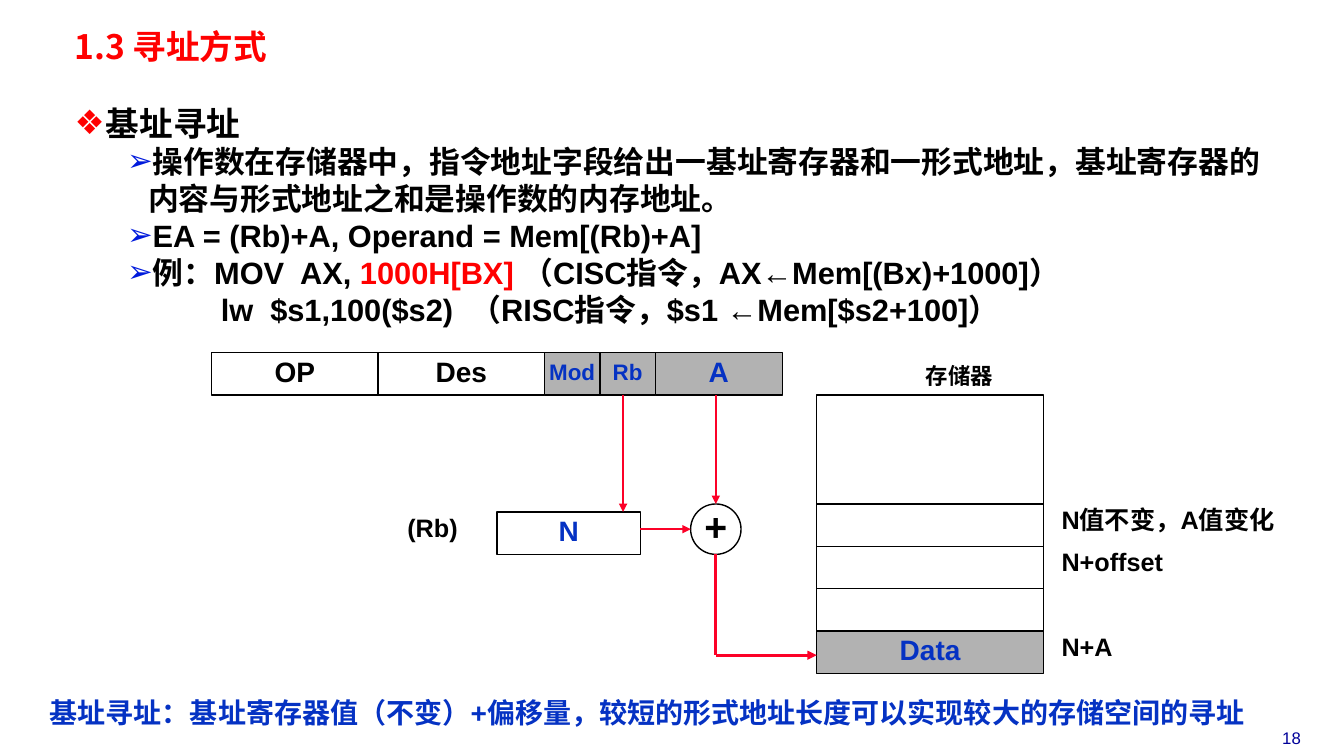
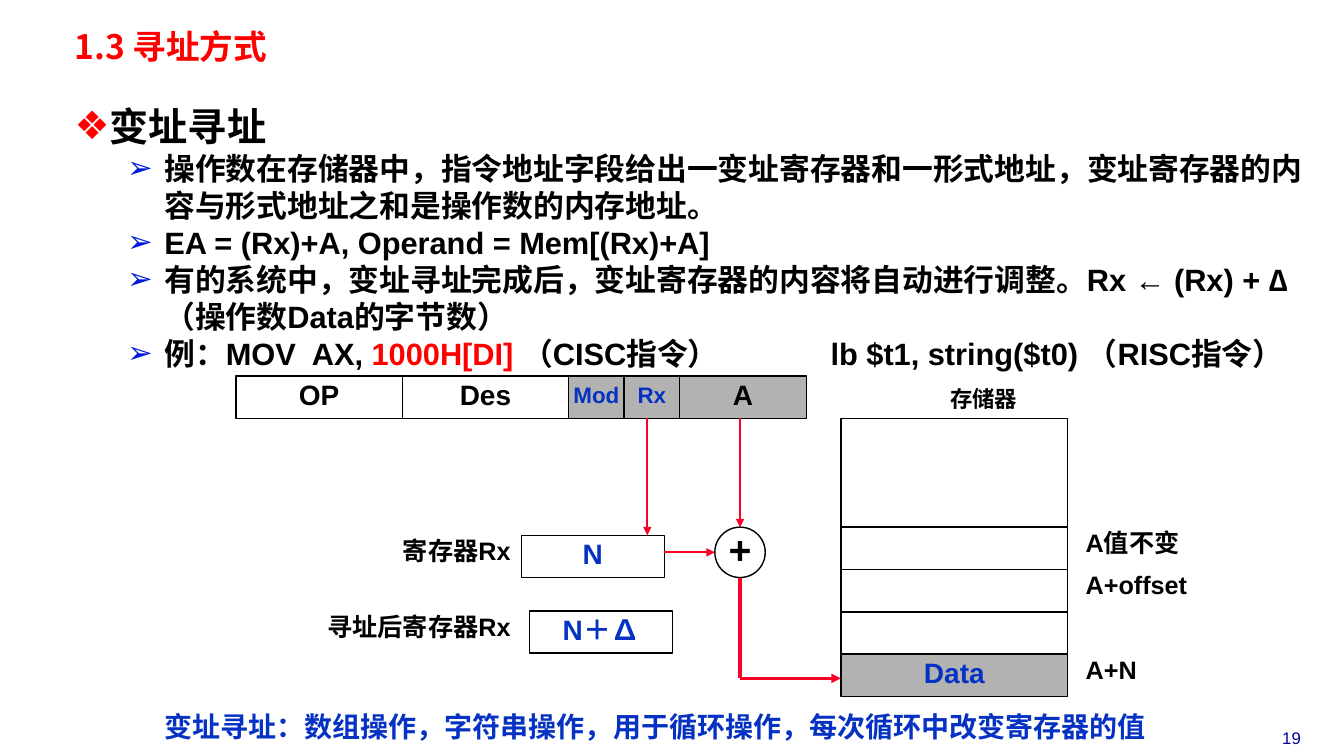
from itertools import accumulate
from pptx import Presentation
from pptx import util as u
from pptx.dml import color
from pptx.enum import shapes, text
from pptx.oxml import ns, xmlchemy

WIDE, HIGH = 13.33, 7.5
BLACK, BLUE, RED, GRAY = "000000", "0532C3", "FF0000", "B2B2B2"
WIRE, MARK, PAGE = "FC0128", "001ADC", "000099"
FONT, HAN = "Arial", "Noto Sans CJK SC"
ROW, CELL = 0.42, 2.25
COLS = [1.65, 1.65, 0.55, 0.55, 1.26]
ALIGN = {"l": text.PP_ALIGN.LEFT, "c": text.PP_ALIGN.CENTER}
RECT, OVAL = shapes.MSO_SHAPE.RECTANGLE, shapes.MSO_SHAPE.OVAL


def hue(code):
    """Turn a hex string into a colour."""
    return color.RGBColor.from_string(code)


def node(home, tag, **attrs):
    """Append an XML element with attributes."""
    item = xmlchemy.OxmlElement(tag)
    for name, value in attrs.items():
        item.set(name, str(value))
    home.append(item)
    return item


def write(para, words, size=18, ink=BLACK, bold=True, font=FONT, align="l", lead=0.85, gap=0):
    """Add one formatted run to a paragraph."""
    para.alignment, para.line_spacing = ALIGN[align], lead
    run = para.add_run()
    run.text = words
    face = run.font
    face.size, face.bold, face.name = u.Pt(size), bold, font
    face.color.rgb = hue(ink)
    props = run._r.get_or_add_rPr()
    node(props, "a:ea", typeface=HAN)
    if gap:
        props.set("spc", str(int(gap * 100)))


def label(slide, box, words, inset=(0.1, 0.05), **form):
    """Add a wrapping text box and return its frame."""
    frame = slide.shapes.add_textbox(*map(u.Inches, box)).text_frame
    frame.word_wrap = True
    frame.margin_left = frame.margin_right = u.Inches(inset[0])
    frame.margin_top = frame.margin_bottom = u.Inches(inset[1])
    if words:
        write(frame.paragraphs[0], words, **form)
    return frame


def block(slide, box, words="", kind=RECT, fill=None, **form):
    """Add an outlined shape with centred text."""
    shape = slide.shapes.add_shape(kind, *map(u.Inches, box))
    shape.shadow.inherit = False
    shape.line.color.rgb, shape.line.width = hue(BLACK), u.Pt(1)
    if fill:
        shape.fill.solid()
        shape.fill.fore_color.rgb = hue(fill)
    else:
        shape.fill.background()
    frame = shape.text_frame
    frame.word_wrap = False
    frame.vertical_anchor = text.MSO_ANCHOR.MIDDLE
    if words:
        write(frame.paragraphs[0], words, align="c", **form)


def wire(slide, *ends, width=1.5, head=True):
    """Draw a straight red line, with an arrowhead if wanted."""
    line = slide.shapes.add_connector(shapes.MSO_CONNECTOR.STRAIGHT, *map(u.Inches, ends))
    line.line.color.rgb, line.line.width = hue(WIRE), u.Pt(width)
    if head:
        node(line.line._get_or_add_ln(), "a:tailEnd", type="triangle")
    node(line._element.spPr, "a:effectLst")


def indent(para, left, hang=0, sign=None, ink=MARK):
    """Set the indents and the bullet of a paragraph."""
    props = para._p.get_or_add_pPr()
    props.set("marL", str(u.Inches(left)))
    props.set("indent", str(-u.Inches(hang)))
    if sign:
        node(node(props, "a:buClr"), "a:srgbClr", val=ink)
        node(props, "a:buFont", typeface=FONT)
        node(props, "a:buChar", char=sign)


def body(slide, box, topic, size, left, hang, items, tail=None):
    """Write the topic and its bulleted points."""
    frame = label(slide, box, "", inset=(0.07, 0.03))
    para = frame.paragraphs[0]
    write(para, topic, size=size, lead=u.Pt(size * 1.22))
    indent(para, 0.31, 0.31, "❖", RED)
    for runs in items + ([tail] if tail else []):
        para = frame.add_paragraph()
        for words, form in runs:
            write(para, words, size=22, lead=u.Pt(26.4), **form)
        if runs is tail:
            indent(para, 1.45)
        else:
            indent(para, left, hang, "➢")


def fields(slide, x, y, index, ink):
    """Draw the instruction word as a row of fields."""
    names = ["OP", "Des", "Mod", index, "A"]
    inks = [BLACK, BLACK, BLUE, BLUE, ink]
    for i, (wide, right) in enumerate(zip(COLS, accumulate(COLS))):
        block(slide, (x + right - wide, y, wide, ROW), names[i], ink=inks[i],
              fill=GRAY if i > 1 else None, size=16 if wide < 1 else 20)


def store(slide, x, y, notes):
    """Draw the memory column with its caption and notes."""
    label(slide, (x + 0.33, y - 0.34, 2.17, 0.33), "存储器", size=16, align="c")
    block(slide, (x, y, CELL, 1.08))
    for i, note in enumerate(notes):
        top = y + 1.08 + i * ROW
        last = i == len(notes) - 1
        block(slide, (x, top, CELL, ROW), "Data" if last else "",
              fill=GRAY if last else None, size=20, ink=BLUE)
        if note:
            label(slide, (x + CELL + 0.08, top, WIDE - x - CELL - 0.1, 0.36), note)


def cell(slide, x, y, name, value, wide):
    """Draw a register with its name on the left."""
    block(slide, (x, y, 1.42, ROW), value, size=20, ink=BLUE)
    label(slide, (x + 0.05 - wide, y, wide, 0.36), name, align="c")


def chart(slide, x, y, index, ink, notes, regs):
    """Draw the address calculation from the given corner."""
    fields(slide, x, y, index, ink)
    for left, top, *rest in regs:
        cell(slide, x + left, y + top, *rest)
    block(slide, (x + 4.75, y + 1.5, 0.5, 0.5), "+", kind=OVAL, size=28)
    store(slide, x + 6, y + ROW, notes)
    wire(slide, x + 4.08, y + ROW, x + 4.08, y + 1.58)
    wire(slide, x + 5, y + ROW, x + 5, y + 1.5)
    wire(slide, x + 4.25, y + 1.75, x + 4.75, y + 1.75)
    wire(slide, x + 5, y + 2, x + 5, y + 3, width=2.25, head=False)
    wire(slide, x + 5, y + 3, x + 6, y + 3, width=2.25)


def page(deck, number, points, plan, close, left, top):
    """Build one slide with title, points, diagram and summary."""
    slide = deck.slides.add_slide(deck.slide_layouts[6])
    label(slide, (12.34, 7.17, 0.94, 0.3), str(number), size=12, ink=PAGE,
          bold=False, align="c", lead=1.0)
    label(slide, (0.67, 0.28, 7.67, 0.41), "1.3 寻址方式", inset=(0.07, 0.03),
          size=24, ink=RED, font=HAN, lead=0.87)
    body(slide, *points)
    chart(slide, *plan)
    label(slide, (left, top, 12.4, 0.39), close, size=20, ink=BLUE, align="c")


def main():
    """Build and save the deck."""
    deck = Presentation()
    deck.slide_width, deck.slide_height = u.Inches(WIDE), u.Inches(HIGH)
    plain, hot = {}, {"ink": RED}
    base = [
        [("操作数在存储器中，指令地址字段给出一基址寄存器和一形式地址，基址寄存器的内容与形式地址之和是操作数的内存地址。", plain)],
        [("EA = (Rb)+A, Operand = Mem[(Rb)+A]", plain)],
        [("例：MOV  AX, ", plain), ("1000H[BX]", hot),
         (" （CISC指令，AX←Mem[(Bx)+1000]）", plain)],
    ]
    tail = [("lw  $s1,100($s2)  （RISC指令，$s1 ←Mem[$s2+100]）", plain)]
    page(deck, 18,
         ((0.67, 0.98, 12.06, 2.31), "基址寻址", 24, 0.73, 0.21, base, tail),
         (2.1, 3.5, "Rb", BLUE, ["N值不变，A值变化", "N+offset", "", "N+A"],
          [(2.83, 1.58, "(Rb)", "N", 1.38)]),
         "基址寻址：基址寄存器值（不变）+偏移量，较短的形式地址长度可以实现较大的存储空间的寻址", 0.22, 6.9)
    shift = [
        [("操作数在存储器中，指令地址字段给出一变址寄存器和一形式地址，变址寄存器的内容与形式地址之和是操作数的内存地址。", plain)],
        [("EA = (Rx)+A, Operand = Mem[(Rx)+A]", plain)],
        [("有的系统中，变址寻址完成后，变址寄存器的内容将自动进行调整。Rx ← (Rx) + ∆（操作数Data的字节数）", plain)],
        [("例：MOV  AX, ", plain), ("1000H[DI]", hot), (" （CISC指令）", plain),
         (" ", {"gap": 75}), ("lb $t1, string($t0) （RISC指令）", plain)],
    ]
    page(deck, 19,
         ((0.67, 0.98, 12.45, 2.75), "变址寻址", 28, 0.89, 0.37, shift),
         (2.34, 3.73, "Rx", BLACK, ["A值不变", "A+offset", "", "A+N"],
          [(2.83, 1.58, "寄存器Rx", "N", 1.38),
           (2.91, 2.33, "寻址后寄存器Rx", "N＋∆", 2.29)]),
         "变址寻址：数组操作，字符串操作，用于循环操作，每次循环中改变寄存器的值", 0.3, 7.04)
    deck.save("out.pptx")


if __name__ == "__main__":
    main()
